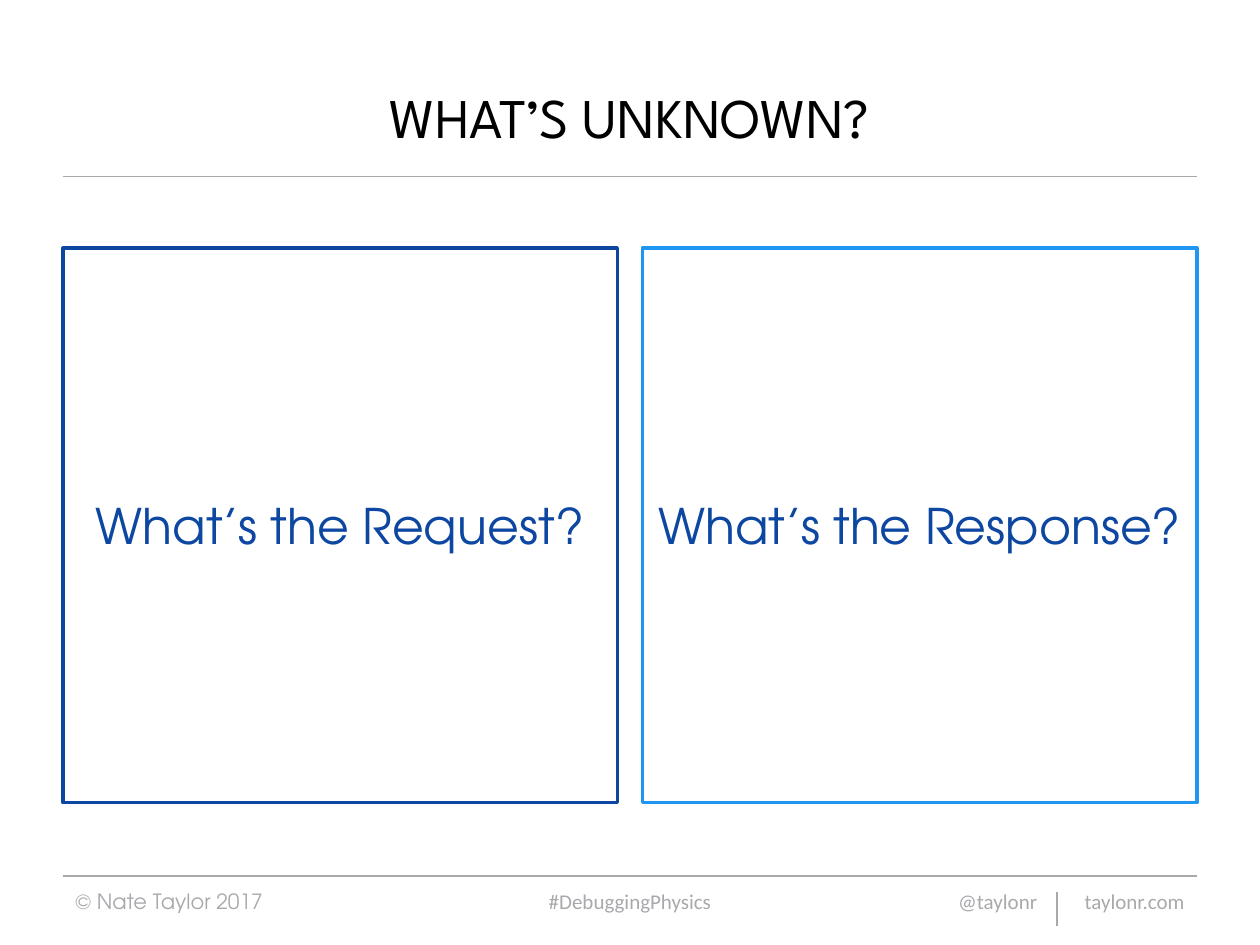
from dataclasses import dataclass

from lxml import etree
from pptx import Presentation
from pptx.dml.color import RGBColor
from pptx.enum.shapes import MSO_CONNECTOR, MSO_SHAPE
from pptx.enum.text import MSO_ANCHOR, PP_ALIGN
from pptx.oxml.ns import qn
from pptx.util import Inches, Pt

LEFT, CENTER, RIGHT = PP_ALIGN.LEFT, PP_ALIGN.CENTER, PP_ALIGN.RIGHT
MIDDLE = MSO_ANCHOR.MIDDLE
RECTANGLE = MSO_SHAPE.RECTANGLE
STRAIGHT = MSO_CONNECTOR.STRAIGHT
TITLE_ONLY = 5


@dataclass(frozen=True)
class Theme:
    black: str = "000000"
    white: str = "FFFFFF"
    gray: str = "A7A9AC"
    navy: str = "0D47A1"
    sky: str = "2096F3"
    title_font: str = "League Spartan"
    body_font: str = "TeX Gyre Adventor"
    footer_font: str = "Calibri"
    title_size: int = 32
    body_size: int = 28
    footer_size: int = 12


THEME = Theme()

# Grid, in inches
WIDTH, HEIGHT = 10, 7.5
MARGIN = 0.5
CONTENT = WIDTH - 2 * MARGIN
GAP = 0.2
CARD = (CONTENT - GAP) / 2
CARD_TOP = 1.97
HEADER_LINE = 1.4
FOOTER_TOP, FOOTER_HEIGHT = 6.95, 0.4
DIVIDER = 8.39

CARDS = [("What’s the Request?", THEME.navy), ("What’s the Response?", THEME.sky)]

# Text, left, width, alignment, font
FOOTERS = [
    ("© Nate Taylor 2017", MARGIN, 2.33, LEFT, THEME.body_font),
    ("#DebuggingPhysics", 3.31, 3.38, CENTER, THEME.footer_font),
    ("@taylonr", 7.17, 1.16, RIGHT, THEME.footer_font),
    ("taylonr.com", 8.4, 1.1, RIGHT, THEME.footer_font),
]


def color(value):
    return RGBColor.from_string(value)


def write(shape, text, *, font, size, ink, align=CENTER):
    """Put one formatted, vertically centred paragraph into a shape."""
    frame = shape.text_frame
    frame.word_wrap = True
    frame.vertical_anchor = MIDDLE
    para = frame.paragraphs[0]
    para.alignment = align
    span = para.add_run()
    span.text = text
    span.font.name = font
    span.font.size = Pt(size)
    span.font.color.rgb = color(ink)


def add_rule(page, x1, y1, x2, y2):
    rule = page.shapes.add_connector(STRAIGHT, Inches(x1), Inches(y1), Inches(x2), Inches(y2))
    rule.line.color.rgb = color(THEME.gray)
    rule.line.width = Pt(1)
    etree.SubElement(rule._element.spPr, qn("a:effectLst"))


def add_title(page, text):
    title = page.shapes.title
    title.left, title.top = Inches(MARGIN), Inches(0.3)
    title.width, title.height = Inches(CONTENT), Inches(1.25)
    write(title, text, font=THEME.title_font, size=THEME.title_size, ink=THEME.black)


def add_card(page, column, text, border):
    left = MARGIN + column * (CARD + GAP)
    card = page.shapes.add_shape(
        RECTANGLE, Inches(left), Inches(CARD_TOP), Inches(CARD), Inches(CARD))
    card.shadow.inherit = False
    card.fill.solid()
    card.fill.fore_color.rgb = color(THEME.white)
    card.line.color.rgb = color(border)
    card.line.width = Pt(2)
    write(card, text, font=THEME.body_font, size=THEME.body_size, ink=THEME.navy)


def add_footer(page, text, left, width, align, font):
    box = page.shapes.add_textbox(
        Inches(left), Inches(FOOTER_TOP), Inches(width), Inches(FOOTER_HEIGHT))
    write(box, text, font=font, size=THEME.footer_size, ink=THEME.gray, align=align)


def main():
    deck = Presentation()
    deck.slide_width, deck.slide_height = Inches(WIDTH), Inches(HEIGHT)
    page = deck.slides.add_slide(deck.slide_layouts[TITLE_ONLY])

    # Header and footer rules, and the divider between the contacts
    for y in (HEADER_LINE, FOOTER_TOP):
        add_rule(page, MARGIN, y, WIDTH - MARGIN, y)
    add_rule(page, DIVIDER, 7.08, DIVIDER, 7.35)

    add_title(page, "WHAT’S UNKNOWN?")

    # Two square question cards
    for column, (text, border) in enumerate(CARDS):
        add_card(page, column, text, border)

    for footer in FOOTERS:
        add_footer(page, *footer)

    deck.save("out.pptx")


if __name__ == "__main__":
    main()
